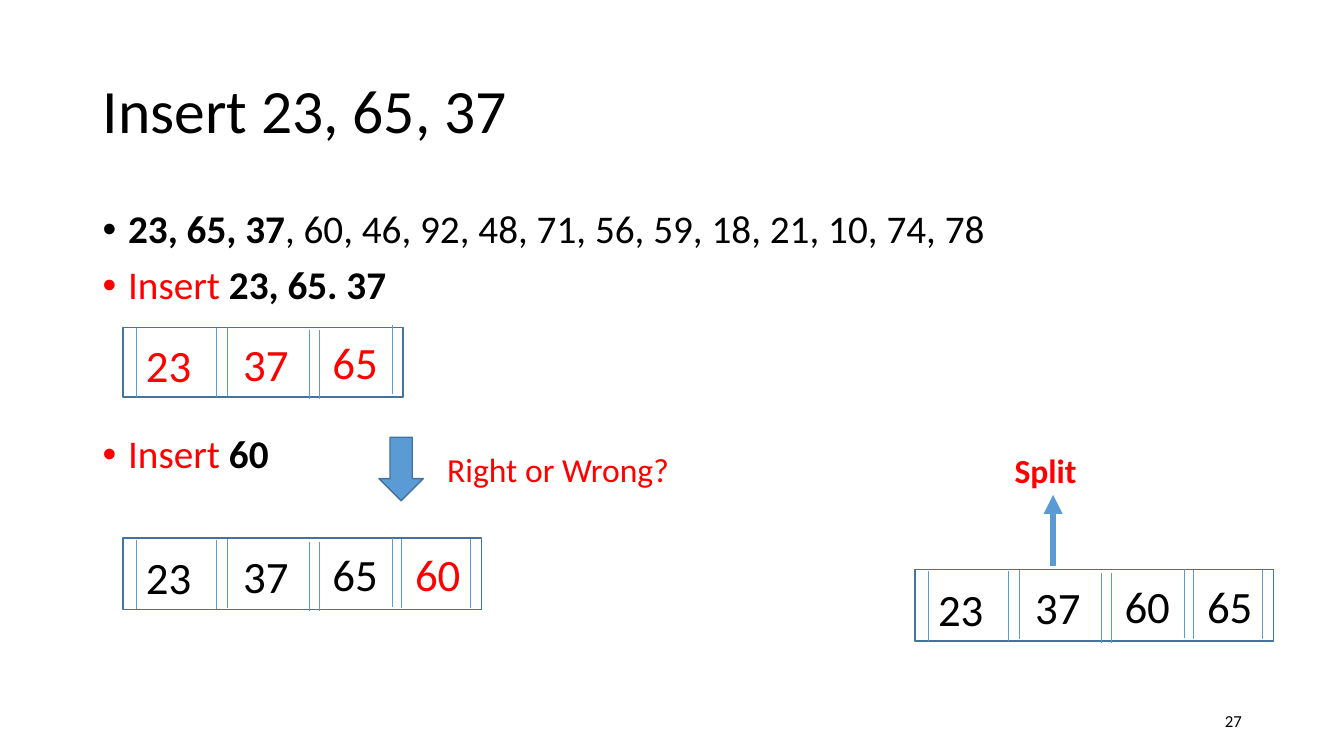
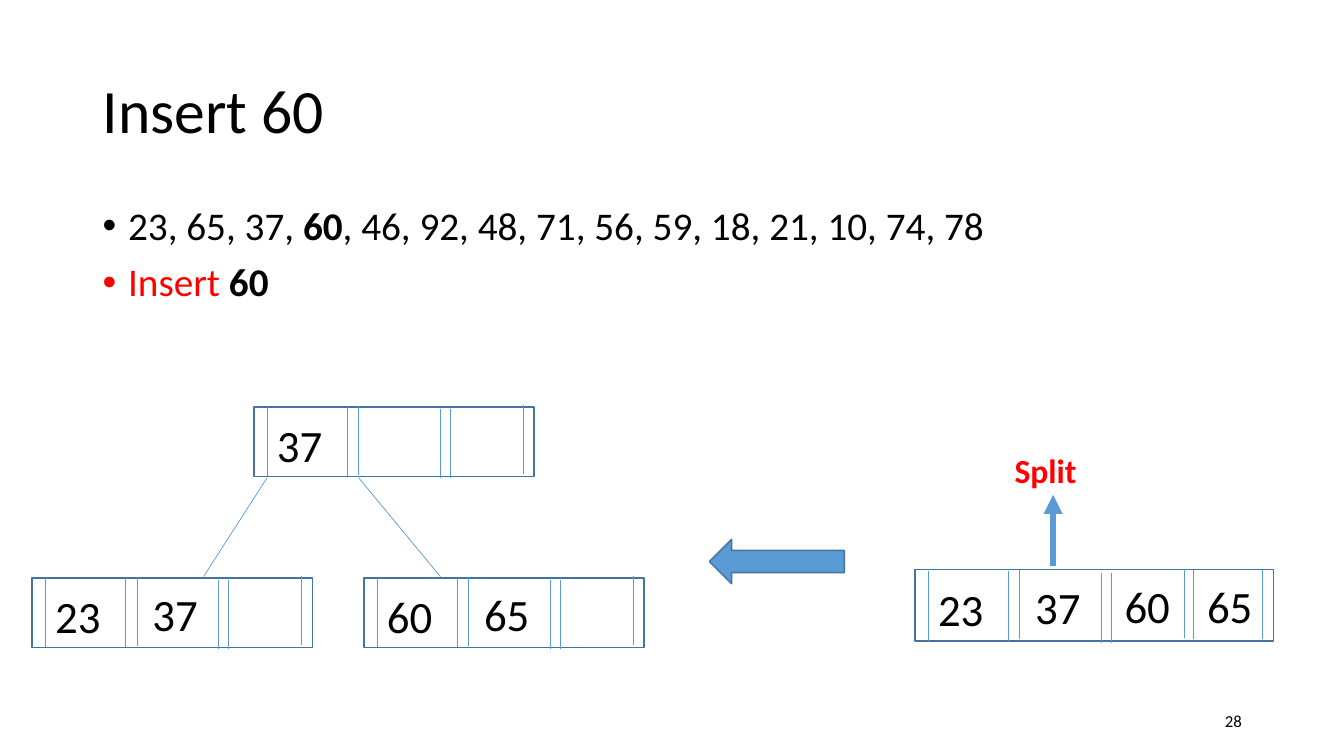
from lxml import etree
from pptx import Presentation
from pptx import util as u
from pptx.dml.color import RGBColor
from pptx.enum import shapes, text
from pptx.oxml import ns

BLACK = RGBColor(0x00, 0x00, 0x00)
RED = RGBColor(0xFF, 0x00, 0x00)
BLUE = RGBColor(0x5B, 0x9B, 0xD5)
OUTLINE = RGBColor(0x43, 0x73, 0x9E)
FONT = "Calibri"

# B-tree node geometry in cm; each pair is (x, y) from the node's corner
DIVIDERS = [(0.33, 0), (2.36, 0), (2.64, -0.03), (4.7, 0.05),
            (4.95, 0.05), (6.78, -0.06), (7.01, -0.03), (8.76, -0.03)]
KEYS = [(0.33, 0.13), (2.78, 0.09), (5.03, 0.05), (7.11, 0.05)]
NODE_SIZES = {3: (7.06, 1.75), 4: (9.04, 1.8)}
DIVIDER_HEIGHT = 1.74


def format_run(r, size, color=BLACK, bold=False):
    """Set the font of one run."""
    r.font.name = FONT
    r.font.size = u.Pt(size)
    r.font.color.rgb = color
    r.font.bold = bold


def add_box(parent, x, y, w, h):
    """Add an empty wrapping text box and return its text frame."""
    tf = parent.add_textbox(u.Cm(x), u.Cm(y), u.Cm(w), u.Cm(h)).text_frame
    tf.word_wrap = True
    return tf


def add_label(parent, label, x, y, w, h, size, color=BLACK, bold=False):
    """Add a one-line text and return its text frame."""
    tf = add_box(parent, x, y, w, h)
    tf.text = label
    format_run(tf.paragraphs[0].runs[0], size, color, bold)
    return tf


def add_bullet(p, runs, space_before=10):
    """Fill a bulleted paragraph with (text, colour, bold) runs."""
    p.line_spacing = 0.9
    p.space_before = u.Pt(space_before)
    pPr = p._p.get_or_add_pPr()
    pPr.set("marL", str(u.Cm(0.64)))
    pPr.set("indent", str(-u.Cm(0.64)))
    etree.SubElement(pPr, ns.qn("a:buFont")).set("typeface", "Arial")
    etree.SubElement(pPr, ns.qn("a:buChar")).set("char", "\u2022")
    for words, color, bold in runs:
        r = p.add_run()
        r.text = words
        format_run(r, 28, color, bold)


def add_body(slide, y, h, bullets):
    """Add the bulleted body; bullets are (runs, space before) pairs."""
    tf = add_box(slide.shapes, 2.34, y, 29.21, h)
    for i, (runs, space_before) in enumerate(bullets):
        p = tf.add_paragraph() if i else tf.paragraphs[0]
        add_bullet(p, runs, space_before)


def add_line(parent, x1, y1, x2, y2, width=0.5, arrow=False):
    """Add a straight blue line, with an arrowhead at its end if asked."""
    sp = parent.add_connector(shapes.MSO_CONNECTOR.STRAIGHT,
                              u.Cm(x1), u.Cm(y1), u.Cm(x2), u.Cm(y2))
    sp.line.color.rgb = BLUE
    sp.line.width = u.Pt(width)
    if arrow:
        ln = sp.line._get_or_add_ln()
        etree.SubElement(ln, ns.qn("a:tailEnd")).set("type", "triangle")
    etree.SubElement(sp._element.spPr, ns.qn("a:effectLst"))


def add_outlined(parent, kind, x, y, w, h, fill=None):
    """Add a preset shape with the dark blue outline."""
    sp = parent.add_shape(kind, u.Cm(x), u.Cm(y), u.Cm(w), u.Cm(h))
    sp.shadow.inherit = False
    sp.line.color.rgb = OUTLINE
    sp.line.width = u.Pt(1)
    if fill is None:
        sp.fill.background()
    else:
        sp.fill.solid()
        sp.fill.fore_color.rgb = fill


def add_node(slide, x, y, keys, slots=3, reds=()):
    """Add a grouped tree node; keys listed in reds are shown in red."""
    group = slide.shapes.add_group_shape().shapes
    add_outlined(group, shapes.MSO_SHAPE.RECTANGLE, x, y, *NODE_SIZES[slots])
    inset = 0.05 * (slots - 3)
    for dx, dy in DIVIDERS[:2 * slots]:
        top = y + inset + dy
        add_line(group, x + dx, top, x + dx, top + DIVIDER_HEIGHT)
    for key, (dx, dy) in zip(keys, KEYS):
        add_label(group, key, x + dx, y + inset + dy, 2.03, 1.63, 32,
                  RED if key in reds else BLACK)


def add_split(slide):
    """Add the full node with the arrow that marks its split."""
    add_node(slide, 23.06, 14.35, ["23", "37", "60", "65"], slots=4)
    add_label(slide.shapes, "Split", 25.32, 11.2, 2.44, 1.27, 24, RED, True)
    add_line(slide.shapes, 26.54, 14.27, 26.54, 12.47, 4.5, arrow=True)


def add_slide(prs, title, number):
    """Add a blank slide with its title and slide number."""
    slide = prs.slides.add_slide(prs.slide_layouts[6])
    tf = add_label(slide.shapes, title, 2.34, 1.02, 29.21, 3.68, 44)
    tf.vertical_anchor = text.MSO_ANCHOR.MIDDLE
    tf.paragraphs[0].line_spacing = 0.9
    tf = add_label(slide.shapes, str(number), 23.93, 17.65, 7.62, 1.02, 12)
    tf.vertical_anchor = text.MSO_ANCHOR.MIDDLE
    tf.paragraphs[0].alignment = text.PP_ALIGN.RIGHT
    return slide


def build_first_inserts(prs):
    """Build the slide that inserts the first three keys."""
    slide = add_slide(prs, "Insert 23, 65, 37", 27)
    add_body(slide, 5.16, 12.09, [
        ([("23, 65, 37", BLACK, True),
          (", 60, 46, 92, 48, 71, 56, 59, 18, 21, 10, 74, 78", BLACK, False)], 10),
        ([("Insert ", RED, False), ("23, 65. 37", BLACK, True)], 10),
        ([("Insert", RED, False), (" 60", BLACK, True)], 90.5),
    ])
    keys = ["23", "37", "65"]
    add_node(slide, 3.1, 8.26, keys, reds=keys)
    add_node(slide, 3.1, 13.56, keys + ["60"], slots=4, reds=["60"])
    add_outlined(slide.shapes, shapes.MSO_SHAPE.DOWN_ARROW,
                 9.55, 11.02, 1.12, 1.6, BLUE)
    add_label(slide.shapes, "Right or Wrong?", 11.02, 11.18, 6.71, 1.27, 24, RED)
    add_split(slide)


def build_split_insert(prs):
    """Build the slide that splits the node to insert 60."""
    slide = add_slide(prs, "Insert 60", 28)
    add_body(slide, 5.08, 3.33, [
        ([("23, 65, 37, ", BLACK, False), ("60", BLACK, True),
          (", 46, 92, 48, 71, 56, 59, 18, 21, 10, 74, 78", BLACK, False)], 10),
        ([("Insert ", RED, False), ("60", BLACK, True)], 10),
    ])
    add_split(slide)
    add_node(slide, 6.4, 10.26, ["37"])
    add_line(slide.shapes, 6.73, 12.04, 5.13, 14.53)
    add_line(slide.shapes, 9.04, 12.04, 11.1, 14.53)
    add_node(slide, 0.81, 14.57, ["23", "37"])
    add_node(slide, 9.17, 14.57, ["60", "65"])
    add_outlined(slide.shapes, shapes.MSO_SHAPE.LEFT_ARROW,
                 17.88, 13.59, 3.4, 1.12, BLUE)


def main():
    """Build and save the presentation."""
    prs = Presentation()
    prs.slide_width = u.Cm(33.87)
    prs.slide_height = u.Cm(19.05)
    build_first_inserts(prs)
    build_split_insert(prs)
    prs.save("out.pptx")


main()
